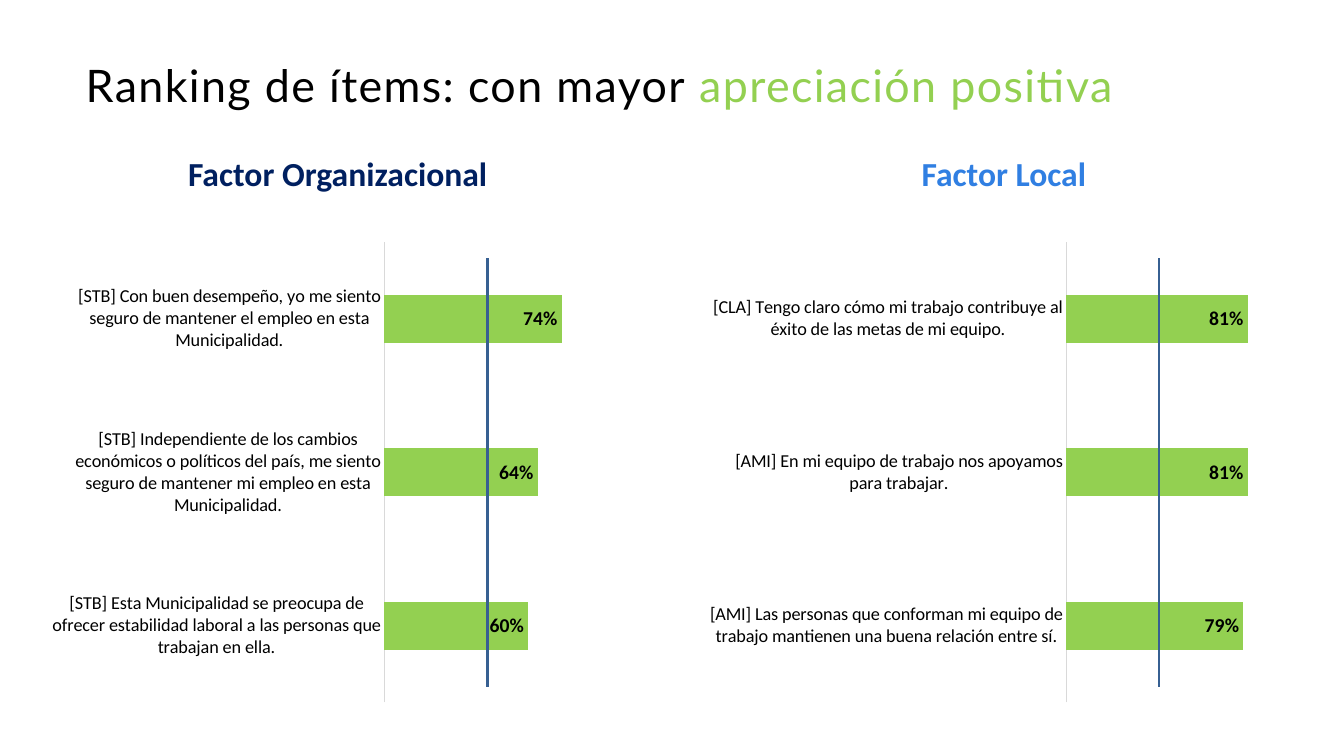
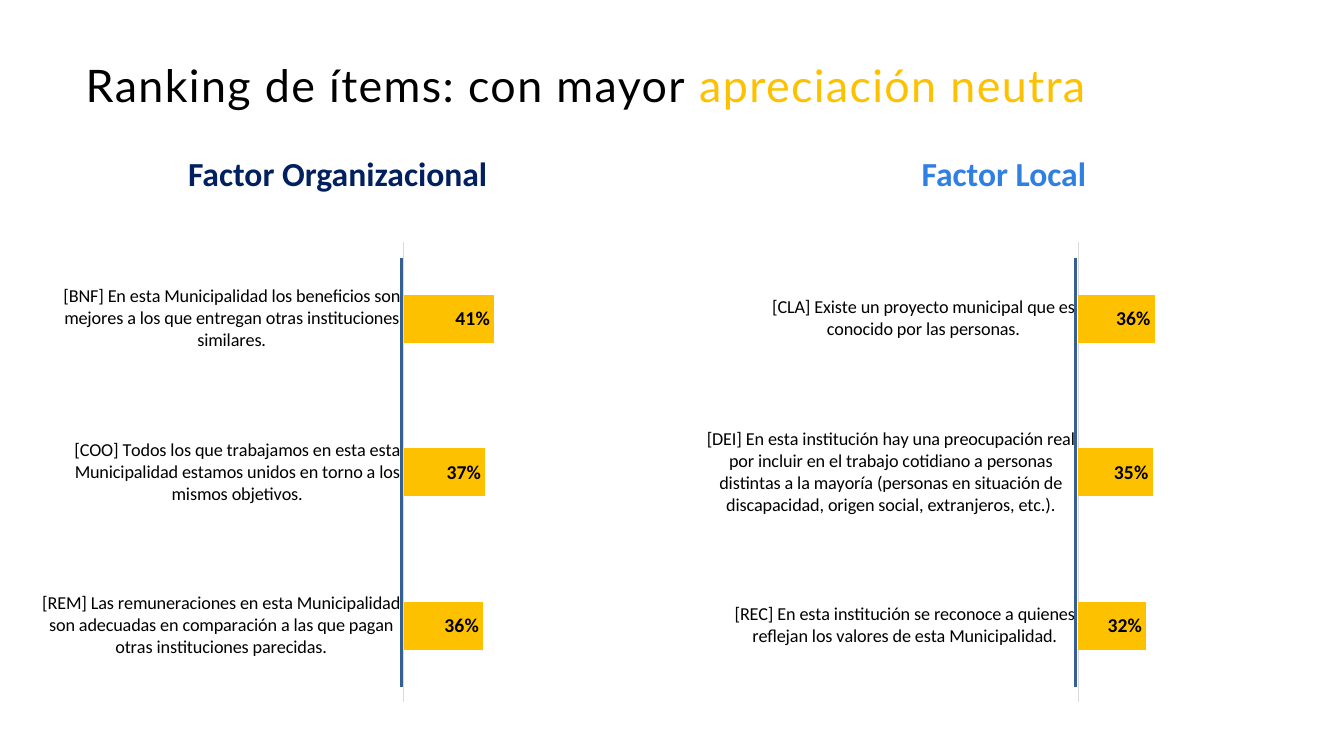
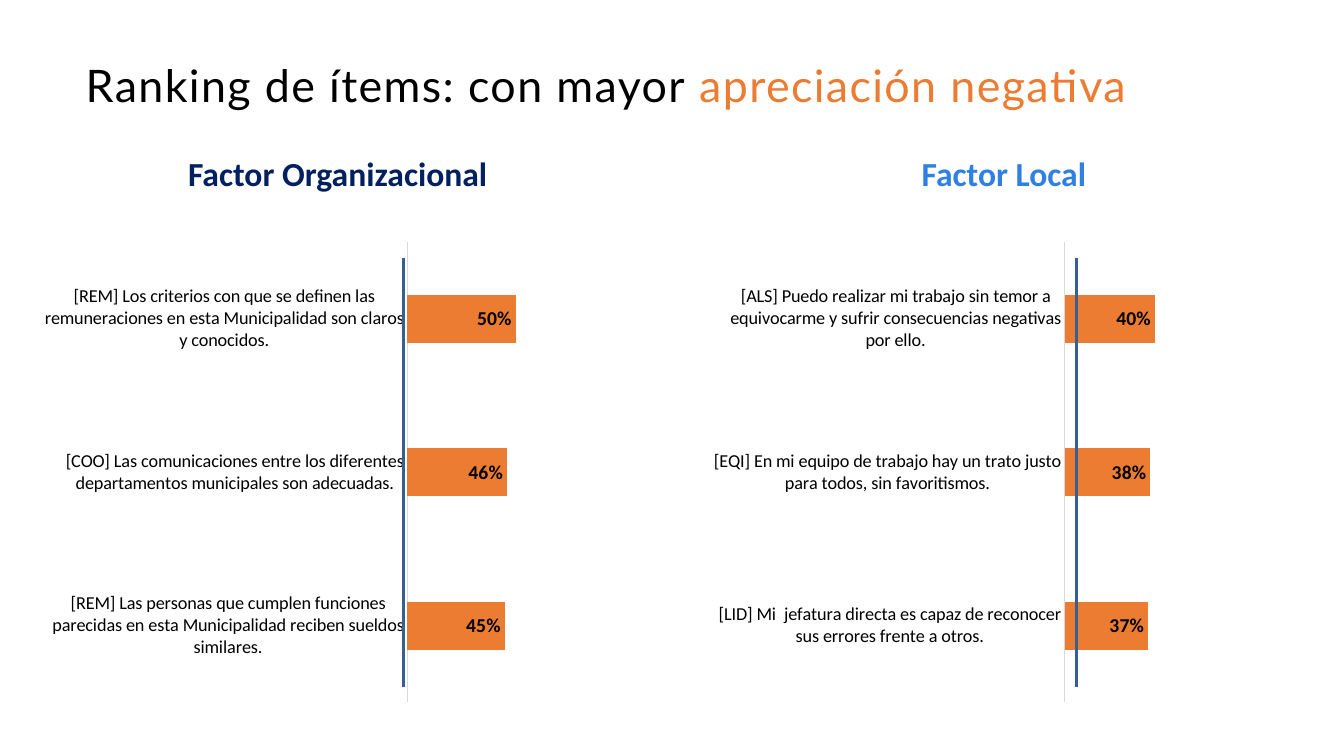
from lxml.etree import SubElement
from pptx import Presentation
from pptx.chart.data import CategoryChartData
from pptx.dml.color import RGBColor
from pptx.enum.chart import (XL_CHART_TYPE as ChartType, XL_LABEL_POSITION as LabelPosition,
                             XL_TICK_MARK as TickMark)
from pptx.enum.shapes import MSO_CONNECTOR as Connector
from pptx.enum.text import MSO_ANCHOR as Anchor, MSO_AUTO_SIZE as AutoSize, PP_ALIGN as Align
from pptx.oxml.ns import qn
from pptx.util import Cm, Pt

FACTORS = [
    # name, colour, heading left, chart left (cm)
    ("Factor Organizacional", "002060", 2.11, 1.02),
    ("Factor Local", "307FE2", 18.9, 17.81),
]

# Each ranking holds, per factor, the reference line position and the items from bottom to top.
RANKINGS = [
    ("apreciación positiva", "93D051", [
        (12.29, [
            ("[STB] Esta Municipalidad se preocupa de ofrecer estabilidad laboral "
             "a las personas que trabajan en ella.", 0.60),
            ("[STB] Independiente de los cambios económicos o políticos del país, "
             "me siento seguro de mantener mi empleo en esta Municipalidad.", 0.64),
            ("[STB] Con buen desempeño, yo me siento seguro de mantener el empleo "
             "en esta Municipalidad.", 0.74),
        ]),
        (29.21, [
            ("[AMI] Las personas que conforman mi equipo de trabajo mantienen "
             "una buena relación entre sí.", 0.79),
            ("[AMI] En mi equipo de trabajo nos apoyamos para trabajar.", 0.81),
            ("[CLA] Tengo claro cómo mi trabajo contribuye al éxito de las metas "
             "de mi equipo.", 0.81),
        ]),
    ]),
    ("apreciación neutra", "FEC100", [
        (10.11, [
            ("[REM] Las remuneraciones en esta Municipalidad son adecuadas en "
             "comparación a las que pagan otras instituciones parecidas.", 0.36),
            ("[COO] Todos los que trabajamos en esta esta Municipalidad estamos "
             "unidos en torno a los mismos objetivos.", 0.37),
            ("[BNF] En esta Municipalidad los beneficios son mejores a los que "
             "entregan otras instituciones similares.", 0.41),
        ]),
        (27.1, [
            ("[REC] En esta institución se reconoce a quienes reflejan los valores "
             "de esta Municipalidad.", 0.32),
            ("[DEI] En esta institución hay una preocupación real por incluir en el "
             "trabajo cotidiano a personas distintas a la mayoría (personas en "
             "situación de discapacidad, origen social, extranjeros, etc.).", 0.35),
            ("[CLA] Existe un proyecto municipal que es conocido por las personas.", 0.36),
        ]),
    ]),
    ("apreciación negativa", "EC7C31", [
        (10.16, [
            ("[REM] Las personas que cumplen funciones parecidas en esta "
             "Municipalidad reciben sueldos similares.", 0.45),
            ("[COO] Las comunicaciones entre los diferentes departamentos "
             "municipales son adecuadas.", 0.46),
            ("[REM] Los criterios con que se definen las remuneraciones en esta "
             "Municipalidad son claros y conocidos.", 0.50),
        ]),
        (27.13, [
            ("[LID] Mi  jefatura directa es capaz de reconocer sus errores frente "
             "a otros.", 0.37),
            ("[EQI] En mi equipo de trabajo hay un trato justo para todos, sin "
             "favoritismos.", 0.38),
            ("[ALS] Puedo realizar mi trabajo sin temor a equivocarme y sufrir "
             "consecuencias negativas por ello.", 0.40),
        ]),
    ]),
]


def color(hex_text):
    return RGBColor.from_string(hex_text)


def style_font(font, name, size, hex_text, bold=False):
    font.name = name
    font.size = Pt(size)
    font.bold = bold
    font.color.rgb = color(hex_text)


class RankingDeck:
    """Holds the shared style and the slide being built."""
    title_font = "Lato"
    body_font = "Calibri"
    black = "000000"
    axis_gray = "D9D9D9"
    reference_blue = "376092"

    def __init__(self):
        self.presentation = Presentation()
        self.presentation.slide_width = Cm(33.87)
        self.presentation.slide_height = Cm(19.05)
        self.slide = None

    def add_slide(self):
        layout = self.presentation.slide_layouts.get_by_name("Title Only")
        self.slide = self.presentation.slides.add_slide(layout)

    def set_title(self, runs):
        """Fill the title with (text, colour) runs."""
        title = self.slide.shapes.title
        title.left, title.top, title.width, title.height = Cm(2.16), Cm(0.86), Cm(29.92), Cm(2.69)
        frame = title.text_frame
        frame.margin_left = frame.margin_right = frame.margin_top = frame.margin_bottom = 0
        frame.vertical_anchor = Anchor.MIDDLE
        frame.auto_size = AutoSize.NONE
        paragraph = frame.paragraphs[0]
        paragraph.alignment = Align.LEFT
        paragraph.line_spacing = 0.9
        for text, hex_text in runs:
            run = paragraph.add_run()
            run.text = text
            style_font(run.font, self.title_font, 32, hex_text)
            run.font._element.set("spc", "100")

    def add_heading(self, text, hex_text, left):
        box = self.slide.shapes.add_textbox(Cm(left), Cm(4.01), Cm(12.8), Cm(0.84))
        frame = box.text_frame
        frame.word_wrap = True
        frame.vertical_anchor = Anchor.MIDDLE
        paragraph = frame.paragraphs[0]
        paragraph.alignment = Align.CENTER
        paragraph.line_spacing = 0.9
        run = paragraph.add_run()
        run.text = text
        style_font(run.font, self.body_font, 24, hex_text, bold=True)

    def add_ranking_chart(self, items, hex_text, left):
        data = CategoryChartData(number_format="0%")
        data.categories = [label for label, _ in items]
        data.add_series("Series 1", [value for _, value in items])
        chart = self.slide.shapes.add_chart(
            ChartType.BAR_CLUSTERED, Cm(left), Cm(5.87), Cm(15.01), Cm(12.07), data).chart
        chart.has_title = False
        chart.has_legend = False
        style_font(chart.font, self.body_font, 10, "FFFFFF")

        category_axis = chart.category_axis
        category_axis.major_tick_mark = category_axis.minor_tick_mark = TickMark.NONE
        category_axis.format.line.color.rgb = color(self.axis_gray)
        category_axis.format.line.width = Pt(0.75)
        style_font(category_axis.tick_labels.font, self.body_font, 13, self.black)

        value_axis = chart.value_axis
        value_axis.minimum_scale, value_axis.maximum_scale = 0, 1
        value_axis.has_major_gridlines = False
        value_axis.visible = False

        plot = chart.plots[0]
        plot.gap_width = 219
        plot.vary_by_categories = False
        series = plot.series[0]
        series.format.fill.solid()
        series.format.fill.fore_color.rgb = color(hex_text)
        labels = series.data_labels
        labels.show_value = True
        labels.position = LabelPosition.INSIDE_END
        labels.number_format = "0%"
        labels.number_format_is_linked = False
        style_font(labels.font, self.body_font, 14, self.black, bold=True)

    def add_reference_line(self, x):
        line = self.slide.shapes.add_connector(
            Connector.STRAIGHT, Cm(x), Cm(17.3), Cm(x), Cm(6.5))
        line.line.color.rgb = color(self.reference_blue)
        line.line.width = Pt(2)
        SubElement(line._element.spPr, qn("a:effectLst"))


def main():
    deck = RankingDeck()
    for rating, rating_color, rankings in RANKINGS:
        deck.add_slide()
        deck.set_title([("Ranking de ítems: con mayor ", deck.black), (rating, rating_color)])
        for name, factor_color, heading_left, _ in FACTORS:
            deck.add_heading(name, factor_color, heading_left)
        for (_, _, _, chart_left), (_, items) in zip(FACTORS, rankings):
            deck.add_ranking_chart(items, rating_color, chart_left)
        for line_x, _ in rankings:
            deck.add_reference_line(line_x)
    deck.presentation.save("out.pptx")


if __name__ == "__main__":
    main()
